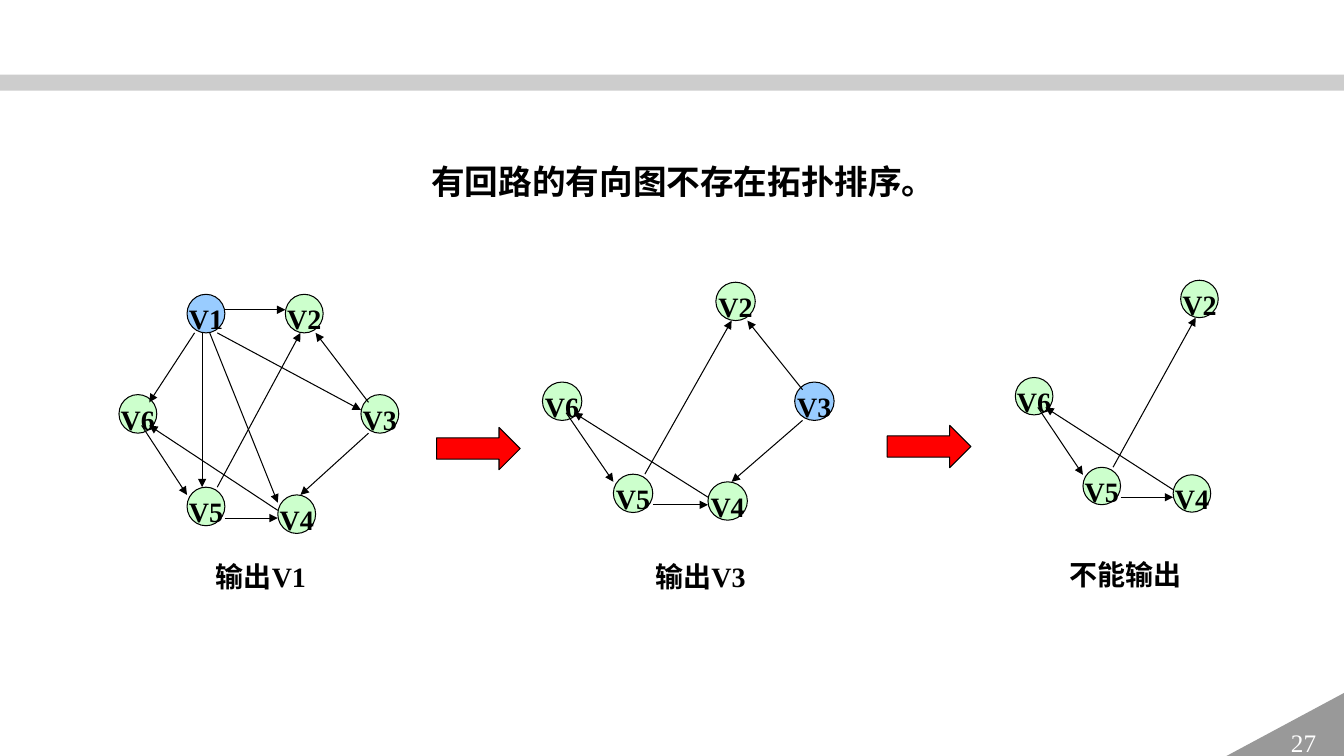
from lxml import etree
from pptx import Presentation
from pptx import util as u
from pptx.dml.color import RGBColor
from pptx.enum import shapes, text
from pptx.oxml.ns import qn

WIDE, HIGH = 13.33, 7.5
BLACK = RGBColor(0, 0, 0)
WHITE = RGBColor(255, 255, 255)
GREEN = RGBColor(0xCC, 0xFF, 0xCC)
BLUE = RGBColor(0x99, 0xCC, 0xFF)
RED = RGBColor(255, 0, 0)
GREY = RGBColor(0xA6, 0xA6, 0xA6)
DARK = RGBColor(0x99, 0x99, 0x99)

TITLE = ("有回路的有向图不存在拓扑排序。", (4.18, 1.43, 7.42, 0.57))
NUMBER = "27"
ARROWS = [(4.33, 4.24), (8.8, 4.22)]

COLS, ROWS, DISC = 22, 26, 5
NODES = {
    "V1": (9, 0), "V2": (22, 0), "V3": (32, 13),
    "V4": (21, 26), "V5": (9, 25), "V6": (0, 13),
}
EDGES = [
    ("V1", "V6", (10, 5), (4, 14)),
    ("V1", "V2", (14, 2), (22, 2)),
    ("V1", "V3", (13, 5), (32, 15)),
    ("V1", "V4", (12, 5), (21, 27)),
    ("V1", "V5", (11, 5), (11, 25)),
    ("V5", "V2", (13, 25), (24, 5)),
    ("V4", "V6", (21, 28), (4, 17)),
    ("V5", "V4", (14, 29), (21, 29)),
    ("V3", "V4", (33, 18), (24, 26)),
    ("V3", "V2", (33, 14), (26, 5)),
    ("V6", "V5", (3, 17), (9, 26)),
]
PANELS = [
    dict(area=(1.18, 2.92, 1.65, 1.99), gone=(), next="V1",
         label="输出V1", box=(2.04, 5.4, 1.12, 0.5)),
    dict(area=(5.38, 2.8, 1.72, 1.98), gone=("V1",), next="V3",
         label="输出V3", box=(6.4, 5.4, 1.18, 0.5)),
    dict(area=(10.07, 2.78, 1.64, 1.93), gone=("V1", "V3"), next=None,
         label="不能输出", box=(10.51, 5.38, 1.49, 0.5)),
]
FONT = {"name": "Times New Roman", "size": u.Pt(20), "bold": True}
NODE = {"wrap": False, "anchor": text.MSO_ANCHOR.MIDDLE,
        "align": text.PP_ALIGN.CENTER}


def inches(vals):
    return [u.Inches(v) for v in vals]


def write(shape, words, color=BLACK, wrap=True, anchor=text.MSO_ANCHOR.TOP,
          align=text.PP_ALIGN.LEFT, space=1.3, **font):
    frame = shape.text_frame
    frame.word_wrap, frame.vertical_anchor = wrap, anchor
    par = frame.paragraphs[0]
    par.alignment, par.line_spacing = align, space
    run = par.add_run()
    run.text = words
    for key, val in {**FONT, **font}.items():
        setattr(run.font, key, val)
    run.font.color.rgb = color


def outline(line):
    line.color.rgb = BLACK
    line.width = u.Pt(0.75)


def draw(owner, kind, box, fill, lined=True):
    shape = owner.add_shape(kind, *inches(box))
    shape.shadow.inherit = False
    shape.fill.solid()
    shape.fill.fore_color.rgb = fill
    if lined:
        outline(shape.line)
    else:
        shape.line.fill.background()
    return shape


def label(owner, words, box, **font):
    shape = owner.add_textbox(*inches(box))
    write(shape, words, **font)
    shape.text_frame.auto_size = text.MSO_AUTO_SIZE.SHAPE_TO_FIT_TEXT


def link(owner, start, end):
    line = owner.add_connector(shapes.MSO_CONNECTOR.STRAIGHT,
                               *inches(start + end))
    outline(line.line)
    props = line._element.spPr
    etree.SubElement(props.find(qn("a:ln")), qn("a:tailEnd"), type="triangle")
    etree.SubElement(props, qn("a:effectLst"))


def graph(owner, area, gone, next, label_text, box):
    left, top, width, height = area
    dx, dy = width / COLS, height / ROWS

    def place(spot):
        return left + spot[0] * dx, top + spot[1] * dy

    for name, spot in NODES.items():
        if name not in gone:
            disc = draw(owner, shapes.MSO_SHAPE.OVAL,
                        place(spot) + (DISC * dx, DISC * dy),
                        BLUE if name == next else GREEN)
            write(disc, name, **NODE)
    for tail, head, start, end in EDGES:
        if tail not in gone and head not in gone:
            link(owner, place(start), place(end))
    label(owner, label_text, box)


def main():
    deck = Presentation()
    deck.slide_width, deck.slide_height = inches((WIDE, HIGH))
    slide = deck.slides.add_slide(deck.slide_layouts[6])
    tree = slide.shapes

    band = draw(tree, shapes.MSO_SHAPE.RECTANGLE, (0, 0.74, WIDE, 0.16),
                GREY, False)
    tint = band._element.spPr.find(qn("a:solidFill"))[0]
    etree.SubElement(tint, qn("a:alpha"), val="56000")

    corner = draw(tree, shapes.MSO_SHAPE.RIGHT_TRIANGLE,
                  (12.11, 6.87, 1.23, 0.66), DARK, False)
    corner._element.spPr.xfrm.set("flipH", "1")
    write(corner, NUMBER, WHITE, anchor=text.MSO_ANCHOR.MIDDLE,
          align=text.PP_ALIGN.CENTER, space=1.0, size=u.Pt(18), bold=False)

    for spot in ARROWS:
        draw(tree, shapes.MSO_SHAPE.RIGHT_ARROW, spot + (0.83, 0.42), RED)
    for panel in PANELS:
        group = tree.add_group_shape()
        graph(group.shapes, panel["area"], panel["gone"], panel["next"],
              panel["label"], panel["box"])
    label(tree, *TITLE, size=u.Pt(24))
    deck.save("out.pptx")


if __name__ == "__main__":
    main()
